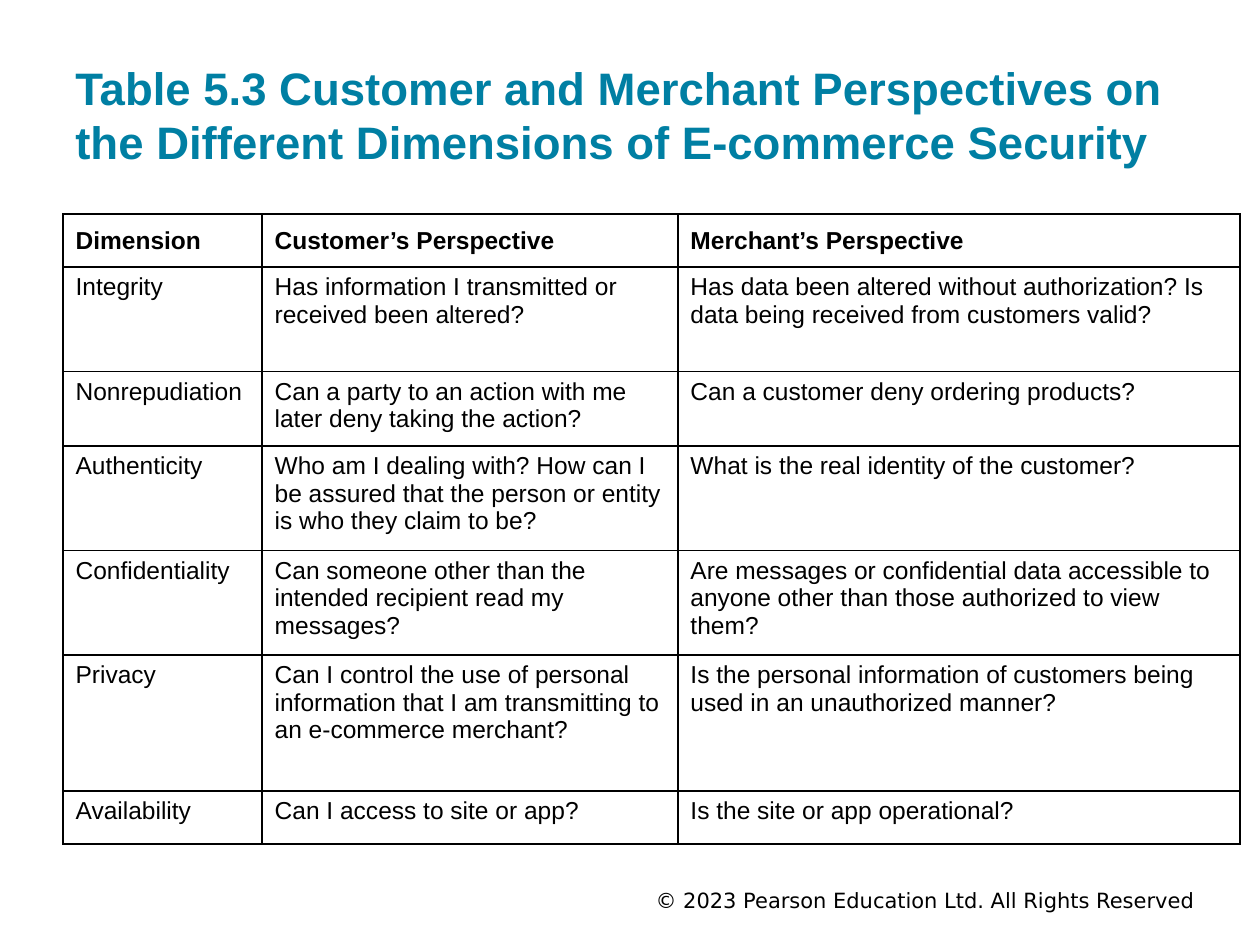
from lxml.etree import SubElement
from pptx import Presentation
from pptx.dml.color import RGBColor
from pptx.enum.text import MSO_ANCHOR, PP_ALIGN
from pptx.oxml.ns import qn
from pptx.util import Inches, Pt

COLORS = {"title": "007FA3", "text": "000000", "border": "000000"}
COLUMN_WIDTHS = [1.58, 3.3, 4.46]
ROW_HEIGHTS = [0.42, 0.83, 0.59, 0.83, 0.83, 1.08, 0.42]
ROWS = [
    ("Dimension", "Customer’s Perspective", "Merchant’s Perspective"),
    ("Integrity",
     "Has information I transmitted or\nreceived been altered?",
     "Has data been altered without authorization? Is data being received from customers valid?"),
    ("Nonrepudiation",
     "Can a party to an action with me later deny taking the action?",
     "Can a customer deny ordering products?"),
    ("Authenticity",
     "Who am I dealing with? How can I be assured that the person or entity is who they claim to be?",
     "What is the real identity of the customer?"),
    ("Confidentiality",
     "Can someone other than the intended recipient read my messages?",
     "Are messages or confidential data accessible to anyone other than those authorized to view them?"),
    ("Privacy",
     "Can I control the use of personal information that I am transmitting to an e-commerce merchant?",
     "Is the personal information of customers being used in an unauthorized manner?"),
    ("Availability", "Can I access to site or app?", "Is the site or app operational?"),
]


def style_paragraph(paragraph, size, color, name="Arial", bold=False):
    font = paragraph.font
    font.name, font.size, font.bold = name, Pt(size), bold
    font.color.rgb = RGBColor.from_string(COLORS[color])


def add_text_box(page, box, text, anchor, vertical_inset):
    frame = page.shapes.add_textbox(*map(Inches, box)).text_frame
    frame.word_wrap = True
    frame.vertical_anchor = anchor
    frame.margin_left = frame.margin_right = Inches(0.1)
    frame.margin_top = frame.margin_bottom = Inches(vertical_inset)
    frame.text = text
    return frame.paragraphs[0]


def add_title(page, box):
    paragraph = add_text_box(
        page, box,
        "Table 5.3 Customer and Merchant Perspectives on the Different Dimensions of E-commerce Security",
        MSO_ANCHOR.BOTTOM, 0.1)
    style_paragraph(paragraph, 26, "title", bold=True)


def add_footer(page, box):
    paragraph = add_text_box(
        page, box, "© 2023 Pearson Education Ltd. All Rights Reserved", MSO_ANCHOR.MIDDLE, 0.05)
    paragraph.alignment = PP_ALIGN.RIGHT
    style_paragraph(paragraph, 12, "text", "DejaVu Sans")


def add_borders(cell):
    properties = cell._tc.get_or_add_tcPr()
    for side in ("a:lnL", "a:lnR", "a:lnT", "a:lnB"):
        line = SubElement(properties, qn(side), w=str(Pt(0.96)))
        fill = SubElement(line, qn("a:solidFill"))
        SubElement(fill, qn("a:srgbClr"), val=COLORS["border"])


def add_perspectives_table(page, box):
    table = page.shapes.add_table(len(ROWS), len(COLUMN_WIDTHS), *map(Inches, box)).table
    table.first_row = table.horz_banding = False
    for column, width in zip(table.columns, COLUMN_WIDTHS):
        column.width = Inches(width)
    for index, (row, height, texts) in enumerate(zip(table.rows, ROW_HEIGHTS, ROWS)):
        row.height = Inches(height)
        is_header = index == 0
        for cell, text in zip(row.cells, texts):
            add_borders(cell)
            cell.fill.background()
            cell.vertical_anchor = MSO_ANCHOR.MIDDLE if is_header else MSO_ANCHOR.TOP
            cell.text = text
            for paragraph in cell.text_frame.paragraphs:
                style_paragraph(paragraph, 14, "text", bold=is_header)


def main():
    deck = Presentation()
    deck.slide_width, deck.slide_height = Inches(10), Inches(7.5)
    page = deck.slides.add_slide(deck.slide_layouts[6])
    add_footer(page, (1.75, 7.03, 7.83, 0.22))
    add_title(page, (0.5, 0.24, 9, 1.2))
    add_perspectives_table(page, (0.5, 1.7, sum(COLUMN_WIDTHS), sum(ROW_HEIGHTS)))
    deck.save("out.pptx")


if __name__ == "__main__":
    main()
